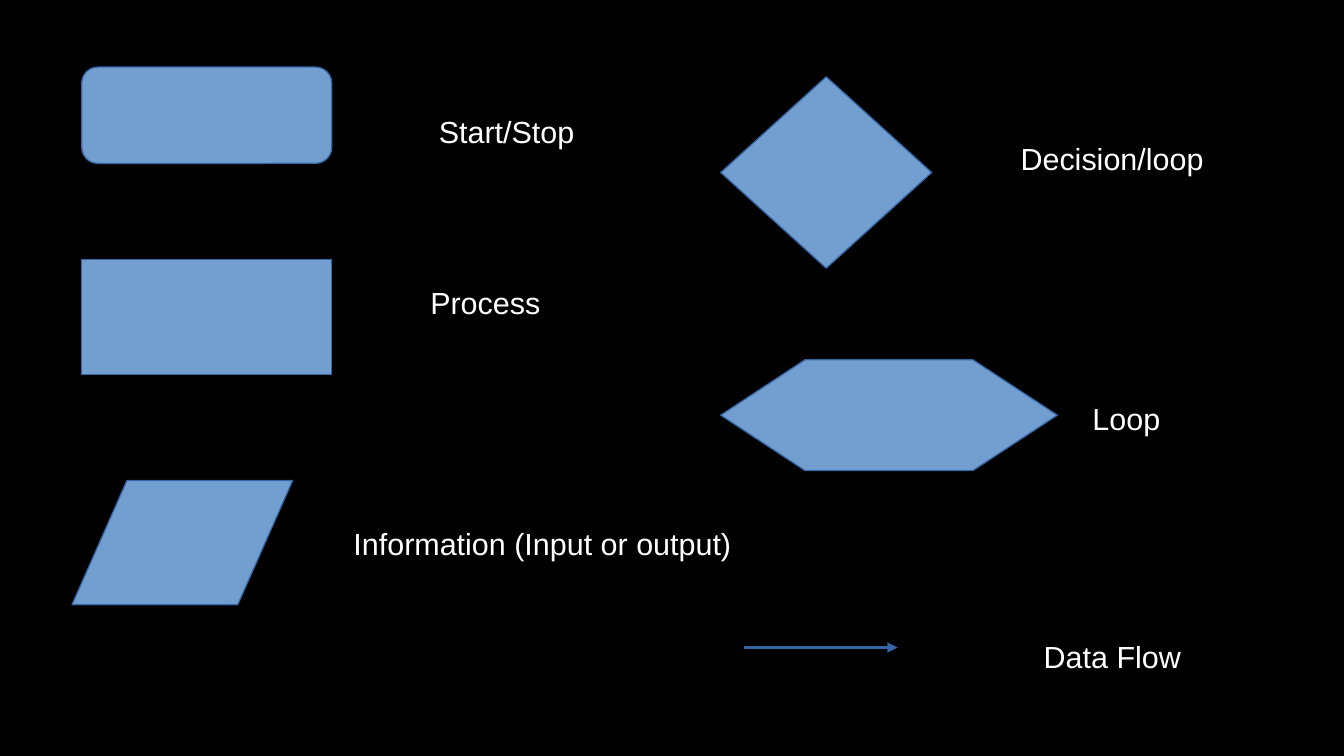
import pptx
import pptx.util
import pptx.dml.color
import pptx.enum.shapes
import pptx.enum.text
import pptx.oxml
import pptx.oxml.ns
from pptx.util import Inches

COLORS = {"background": "000000", "fill": "729FCF", "line": "3465A4", "text": "FFFFFF"}
SHAPES = pptx.enum.shapes.MSO_SHAPE

# Symbol preset, adjustment, symbol box, label, label box (left, top, width, height)
LEFT_COLUMN = [
    (SHAPES.ROUNDED_RECTANGLE, 0.167, (0, 0, 2.05, 0.79),
     "Start/Stop", (2.83, 0.33, 2.13, 0.38)),
    (SHAPES.RECTANGLE, None, (0, 1.58, 2.05, 0.94),
     "Process", (2.76, 1.73, 2.24, 0.51)),
    (SHAPES.PARALLELOGRAM, 0.442, (-0.08, 3.39, 1.81, 1.02),
     "Information (Input or output)", (2.13, 3.71, 3.7, 0.39)),
]
RIGHT_COLUMN = [
    (SHAPES.DIAMOND, None, (0, 0, 1.73, 1.57),
     "Decision/loop", (2.36, 0.47, 2.24, 0.47)),
    (SHAPES.HEXAGON, 0.761, (0, 2.32, 2.76, 0.91),
     "Loop", (2.95, 2.6, 1.3, 0.47)),
]


def color(name):
    return pptx.dml.color.RGBColor.from_string(COLORS[name])


def style_line(line):
    line.color.rgb = color("line")
    line.width = pptx.util.Pt(0)


def add_symbol(slide, preset, adjustment, left, top, width, height):
    shape = slide.shapes.add_shape(
        preset, Inches(left), Inches(top), Inches(width), Inches(height))
    shape.shadow.inherit = False
    if adjustment is not None:
        shape.adjustments[0] = adjustment
    shape.fill.solid()
    shape.fill.fore_color.rgb = color("fill")
    style_line(shape.line)


def add_label(slide, text, left, top, width, height):
    box = slide.shapes.add_textbox(
        Inches(left), Inches(top), Inches(width), Inches(height))
    frame = box.text_frame
    frame.word_wrap = True
    frame.auto_size = pptx.enum.text.MSO_AUTO_SIZE.SHAPE_TO_FIT_TEXT
    paragraph = frame.paragraphs[0]
    paragraph.text = text
    paragraph.font.name = "Arial"
    paragraph.font.size = pptx.util.Pt(18)
    paragraph.font.color.rgb = color("text")


def add_column(slide, left, top, entries):
    """Place symbols and their labels relative to the column's corner."""
    for preset, adjustment, symbol_box, text, label_box in entries:
        x, y, width, height = symbol_box
        add_symbol(slide, preset, adjustment, left + x, top + y, width, height)
        x, y, width, height = label_box
        add_label(slide, text, left + x, top + y, width, height)


def add_data_flow(slide, left, top, length):
    """Draw the flow arrow with its label to the right."""
    arrow = slide.shapes.add_connector(
        pptx.enum.shapes.MSO_CONNECTOR.STRAIGHT,
        Inches(left), Inches(top), Inches(left + length), Inches(top))
    style_line(arrow.line)
    properties = arrow.element.spPr
    line = properties.find(pptx.oxml.ns.qn("a:ln"))
    namespace = pptx.oxml.ns.nsdecls("a")
    line.append(pptx.oxml.parse_xml(f'<a:tailEnd {namespace} type="triangle"/>'))
    properties.append(pptx.oxml.parse_xml(f"<a:effectLst {namespace}/>"))
    add_label(slide, "Data Flow", left + 2.36, top - 0.13, 2.44, 0.47)


def main():
    presentation = pptx.Presentation()
    presentation.slide_width = Inches(11.02)
    presentation.slide_height = Inches(6.2)
    slide = presentation.slides.add_slide(presentation.slide_layouts[6])
    slide.background.fill.solid()
    slide.background.fill.fore_color.rgb = color("background")
    add_column(slide, 0.67, 0.55, LEFT_COLUMN)
    add_column(slide, 5.91, 0.63, RIGHT_COLUMN)
    add_data_flow(slide, 6.1, 5.31, 1.26)
    presentation.save("out.pptx")


if __name__ == "__main__":
    main()
